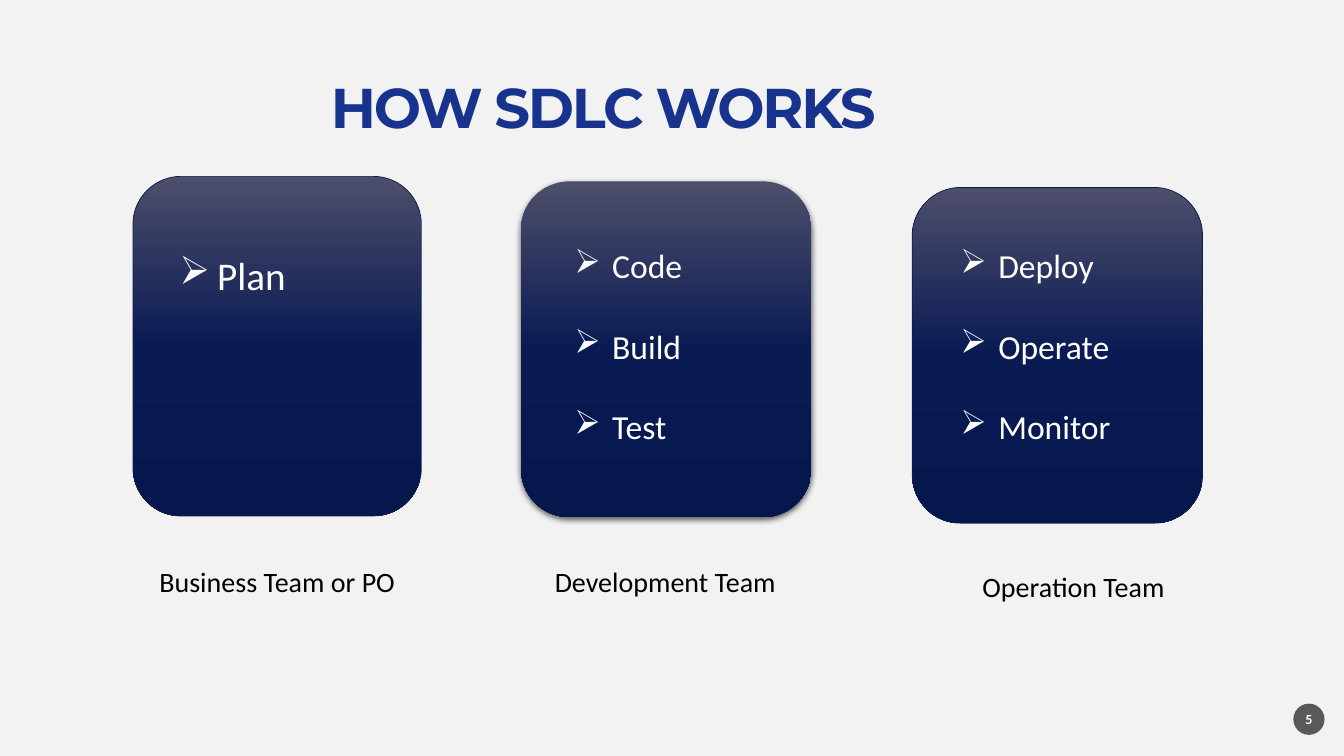
import copy

import pptx
import pptx.dml.color
import pptx.enum.shapes
import pptx.enum.text
import pptx.oxml
import pptx.oxml.ns
import pptx.util

Pt = pptx.util.Pt
SHAPES = pptx.enum.shapes.MSO_SHAPE
ALIGN = pptx.enum.text.PP_ALIGN
MIDDLE = pptx.enum.text.MSO_ANCHOR.MIDDLE

COLORS = {
    "background": "F2F2F2",
    "title": "17338D",
    "badge": "595959",
    "outline": "0D1D51",
    "light": "FFFFFF",
    "dark": "000000",
}
CARD_GRADIENT = [(0, "4C4E6A"), (0.5, "0A1B54"), (1, "06174E")]

# Each team: card box, list box, caption box, list text size, steps, caption, raised
TEAMS = [
    ((95, 126, 206, 242.6), (121, 142.6, 175.7, 125.3), (95, 399.6, 206, 31.7),
     28, ["Plan"], "Business Team or PO", False),
    ((372.2, 129.6, 207.4, 239.8), (403.2, 142.6, 175.7, 181.4), (372.2, 399.6, 206, 31.7),
     24, ["Code", "Build", "Test"], "Development Team", True),
    ((651.6, 133.9, 207.4, 239.8), (679, 142.6, 175.7, 181.4), (663.8, 403.2, 206, 31.7),
     24, ["Deploy", "Operate", "Monitor"], "Operation Team", False),
]


def rgb(value):
    return pptx.dml.color.RGBColor.from_string(value)


def points(box):
    return [Pt(length) for length in box]


def add_span(para, text, size, color, font="Calibri", bold=False):
    span = para.add_run()
    span.text = text
    span.font.name = font
    span.font.size = Pt(size)
    span.font.bold = bold
    span.font.color.rgb = rgb(COLORS[color])
    return span


def center_frame(frame):
    frame.margin_left = frame.margin_top = frame.margin_right = frame.margin_bottom = 0
    frame.vertical_anchor = MIDDLE
    frame.paragraphs[0].alignment = ALIGN.CENTER


def add_title(page, box, text):
    title = page.shapes.title
    title.left, title.top, title.width, title.height = points(box)
    center_frame(title.text_frame)
    para = title.text_frame.paragraphs[0]
    para.line_spacing = 0.9
    span = add_span(para, text, 40, "title", "Montserrat", True)
    span.font._element.set("spc", "-150")


def add_badge(page, box, number):
    badge = page.shapes.add_shape(SHAPES.OVAL, *points(box))
    badge.shadow.inherit = False
    badge.fill.solid()
    badge.fill.fore_color.rgb = rgb(COLORS["badge"])
    badge.line.fill.background()
    center_frame(badge.text_frame)
    badge.text_frame.word_wrap = False
    add_span(badge.text_frame.paragraphs[0], number, 10, "light", bold=True)


def add_card(page, box, raised):
    card = page.shapes.add_shape(SHAPES.ROUNDED_RECTANGLE, *points(box))
    card.shadow.inherit = False

    # Three-stop gradient running downwards
    card.fill.gradient()
    card.fill.gradient_angle = 270
    stop_list = card._element.spPr.find(".//" + pptx.oxml.ns.qn("a:gsLst"))
    stop_list.append(copy.deepcopy(stop_list[-1]))
    for stop, (position, color) in zip(card.fill.gradient_stops, CARD_GRADIENT):
        stop.position = position
        stop.color.rgb = rgb(color)

    # A raised card has a soft shadow, the others a thin outline
    if raised:
        card.line.fill.background()
        effects = card._element.spPr.find(pptx.oxml.ns.qn("a:effectLst"))
        effects.append(pptx.oxml.parse_xml(
            f'<a:outerShdw {pptx.oxml.ns.nsdecls("a")} blurRad="{Pt(4.5)}" '
            f'dist="{Pt(1.5)}" dir="5400000" rotWithShape="0">'
            f'<a:srgbClr val="{COLORS["dark"]}"><a:alpha val="63000"/></a:srgbClr>'
            '</a:outerShdw>'))
    else:
        card.line.color.rgb = rgb(COLORS["outline"])
        card.line.width = Pt(0.5)


def add_text_frame(page, box):
    frame = page.shapes.add_textbox(*points(box)).text_frame
    frame.word_wrap = True
    frame.auto_size = pptx.enum.text.MSO_AUTO_SIZE.SHAPE_TO_FIT_TEXT
    return frame


def add_steps(page, box, steps, size):
    frame = add_text_frame(page, box)
    for index, step in enumerate(steps):
        para = frame.add_paragraph() if index else frame.paragraphs[0]
        properties = para._p.get_or_add_pPr()
        properties.set("marL", str(Pt(27)))
        properties.set("indent", str(-Pt(27)))
        properties.append(pptx.oxml.parse_xml(
            f'<a:buChar {pptx.oxml.ns.nsdecls("a")} char="➢"/>'))
        para.line_spacing = 2.0
        add_span(para, step, size, "light")


def add_caption(page, box, text):
    para = add_text_frame(page, box).paragraphs[0]
    para.alignment = ALIGN.CENTER
    add_span(para, text, 20, "dark")


def main():
    deck = pptx.Presentation()
    deck.slide_width, deck.slide_height = Pt(960), Pt(540)
    page = deck.slides.add_slide(deck.slide_layouts[5])
    page.background.fill.solid()
    page.background.fill.fore_color.rgb = rgb(COLORS["background"])

    add_title(page, (95, 47.5, 671.8, 62), "HOW SDLC WORKS")
    add_badge(page, (923.8, 502.6, 22.3, 22.3), "5")
    for card_box, steps_box, caption_box, size, steps, caption, raised in TEAMS:
        add_card(page, card_box, raised)
        add_steps(page, steps_box, steps, size)
        add_caption(page, caption_box, caption)
    deck.save("out.pptx")


if __name__ == "__main__":
    main()
